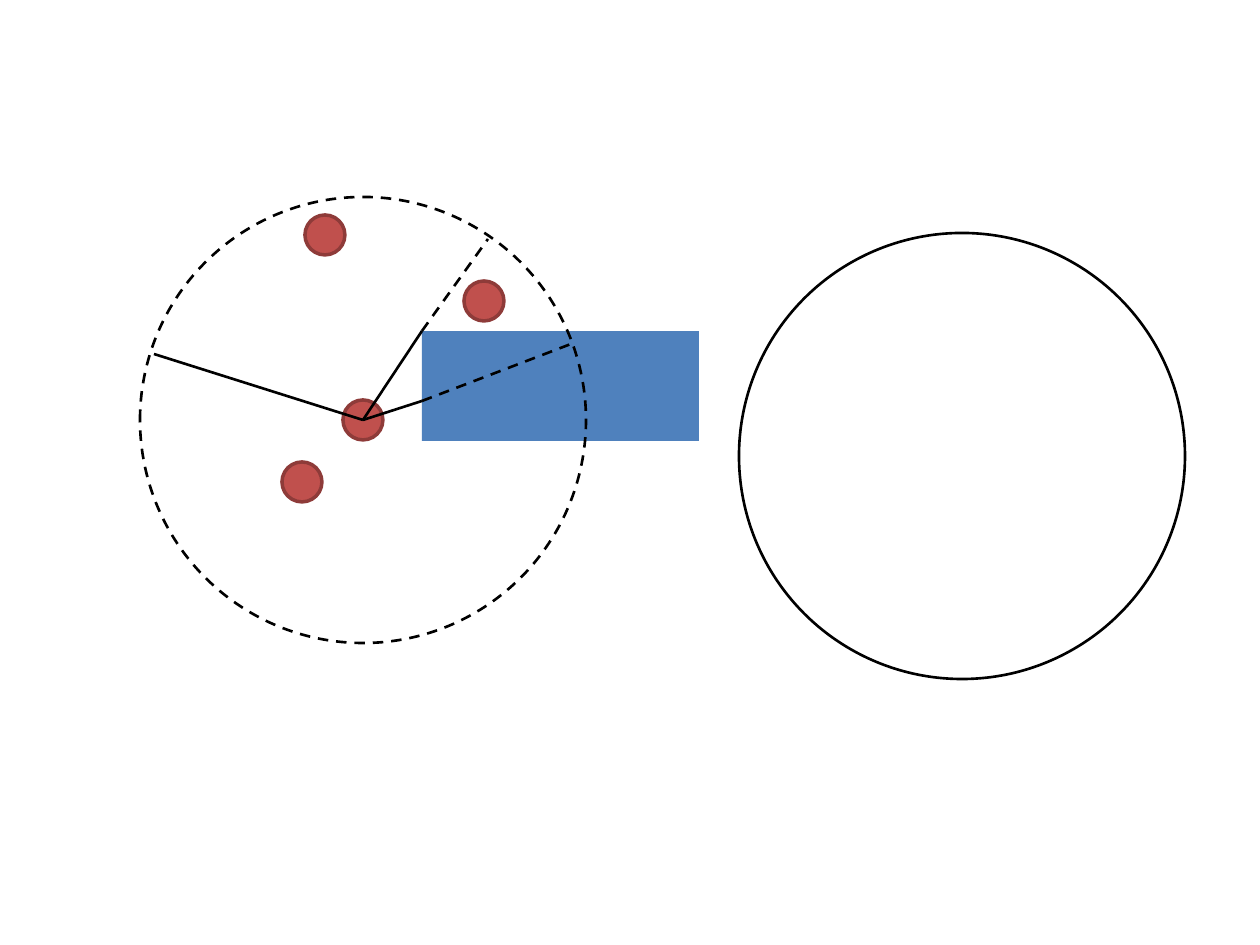
"""Build a slide showing a node's sensing range partly blocked by an obstacle."""
import lxml.etree
import pptx
import pptx.dml.color
import pptx.enum.dml
import pptx.enum.shapes
import pptx.oxml.ns
import pptx.util

COLORS = {"ink": "000000", "obstacle": "4F81BD", "node": "C0504D", "node_edge": "8E3B39"}
SHAPES = pptx.enum.shapes.MSO_SHAPE
DASH = pptx.enum.dml.MSO_LINE.DASH


class Diagram:
    """Hold the drawing style and the current slide."""

    SCALE = 914400 // 126

    def __init__(self, deck):
        """Add a blank slide to the deck."""
        self.slide = deck.slides.add_slide(deck.slide_layouts[6])

    def emu(self, *pixels):
        """Turn pixels into EMU."""
        return [pptx.util.Emu(round(value * 914400 / 126)) for value in pixels]

    def color(self, name):
        """Look up a named colour."""
        return pptx.dml.color.RGBColor.from_string(COLORS[name])

    def stroke(self, line, color="ink", points=1.5, dash=None):
        """Apply a line style."""
        line.color.rgb = self.color(color)
        style = {"width": pptx.util.Pt(points), "dash_style": dash}
        for attribute, value in style.items():
            setattr(line, attribute, value)

    def shape(self, kind, box, fill=None, **stroke):
        """Draw a preset shape, outlined only when a stroke is given."""
        shape = self.slide.shapes.add_shape(kind, *self.emu(*box))
        shape.shadow.inherit = False
        if fill:
            shape.fill.solid()
            shape.fill.fore_color.rgb = self.color(fill)
        else:
            shape.fill.background()
        if stroke:
            self.stroke(shape.line, **stroke)
        else:
            shape.line.fill.background()

    def circle(self, center, diameter, fill=None, **stroke):
        """Draw a circle around a centre."""
        corner = [value - diameter // 2 for value in center]
        self.shape(SHAPES.OVAL, (*corner, diameter, diameter), fill, **stroke)

    def ray(self, start, end, dash=None):
        """Draw a straight line of sight."""
        straight = pptx.enum.shapes.MSO_CONNECTOR.STRAIGHT
        ray = self.slide.shapes.add_connector(straight, *self.emu(*start, *end))
        self.stroke(ray.line, dash=dash)
        properties = ray._element.spPr
        lxml.etree.SubElement(properties, pptx.oxml.ns.qn("a:effectLst"))


deck = pptx.Presentation()
deck.slide_width = pptx.util.Inches(10)
deck.slide_height = pptx.util.Inches(7.5)
diagram = Diagram(deck)

sensor = (363, 420)
neighbors = [(325, 235), (484, 301), (302, 482)]
range_diameter = 446
node_diameter = 40
obstacle = (422, 331, 277, 110)

diagram.circle((962, 456), range_diameter, color="ink")
diagram.shape(SHAPES.RECTANGLE, obstacle, "obstacle")
for node in [sensor, *neighbors]:
    diagram.circle(node, node_diameter, "node", color="node_edge", points=2)
diagram.circle(sensor, range_diameter, dash=DASH)

diagram.ray(sensor, (154, 354))
for hit, range_edge in [((422, 401), (571, 344)), ((422, 331), (488, 239))]:
    diagram.ray(sensor, hit)
    diagram.ray(hit, range_edge, DASH)

deck.save("out.pptx")
